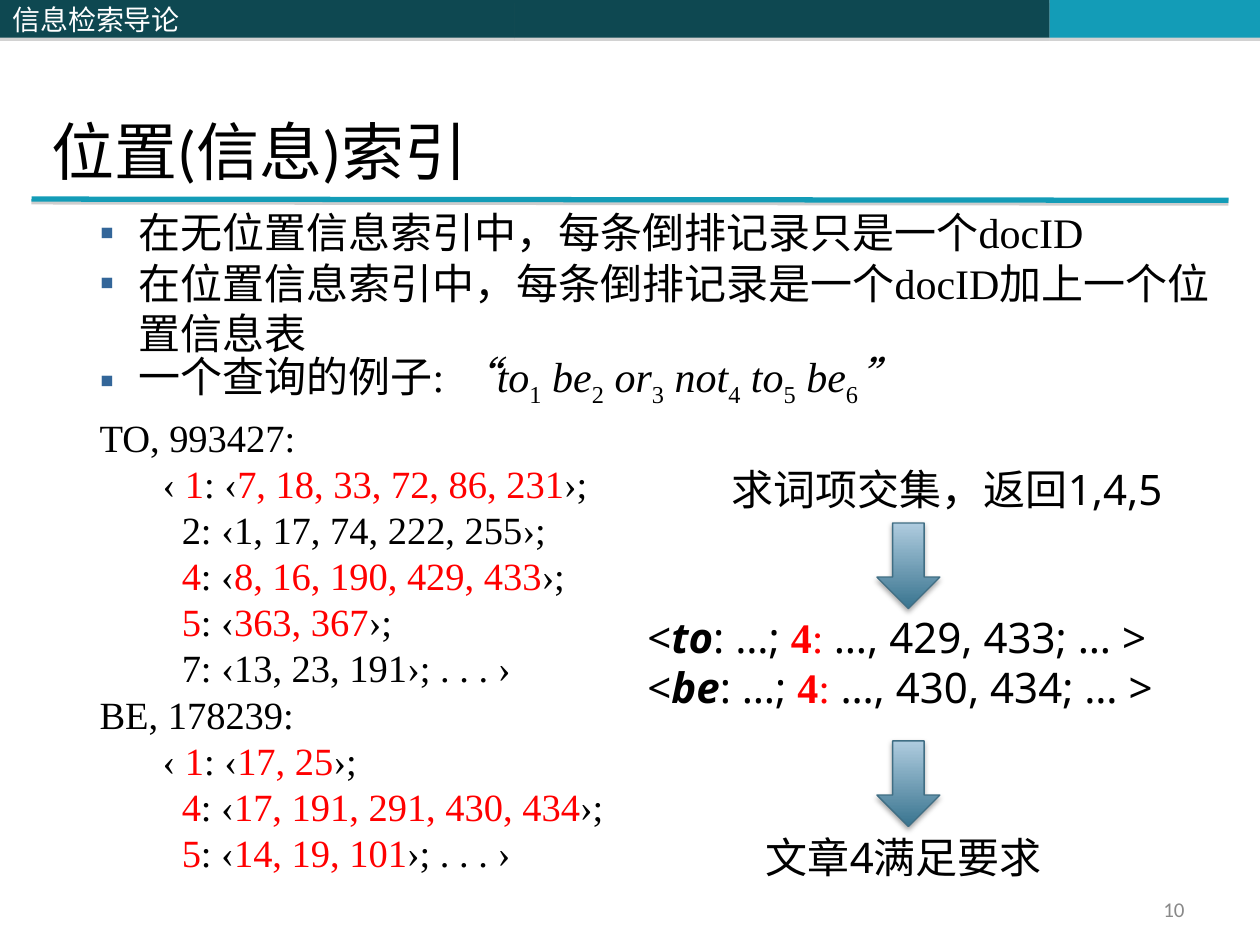
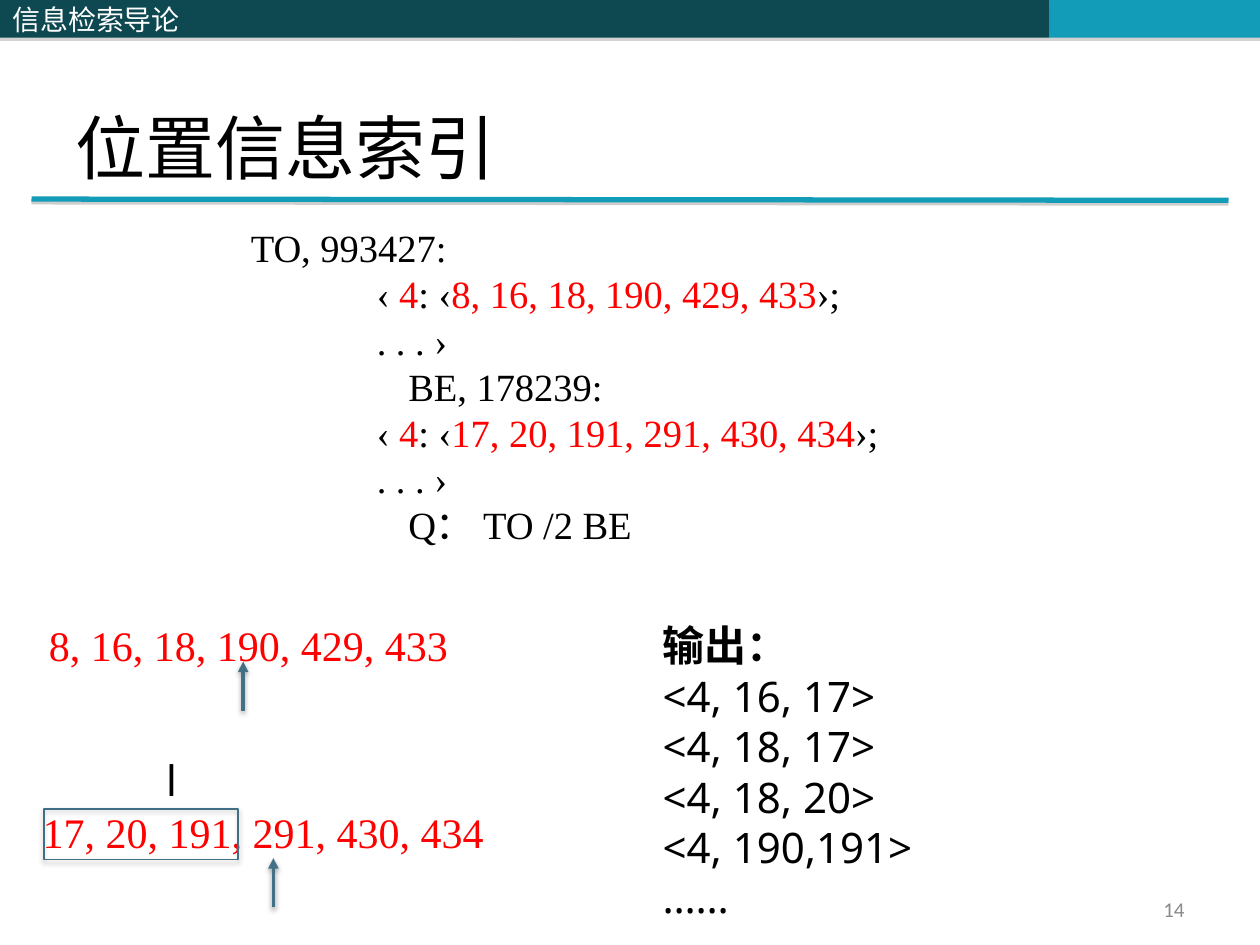
from itertools import chain, cycle
from typing import NamedTuple

from lxml.etree import SubElement
from pptx import Presentation
from pptx.dml.color import RGBColor
from pptx.enum.shapes import MSO_CONNECTOR as CONNECTOR, MSO_SHAPE as SHAPE
from pptx.enum.text import MSO_ANCHOR as ANCHOR, MSO_AUTO_SIZE as AUTO_SIZE, PP_ALIGN as ALIGN
from pptx.oxml.ns import qn
from pptx.util import Inches, Pt

DARK_TEAL = RGBColor(0x0E, 0x48, 0x51)
TEAL = RGBColor(0x13, 0x9C, 0xB7)
STEEL = RGBColor(0x40, 0x6E, 0x84)
STEEL_DARK = RGBColor(0x39, 0x74, 0x8F)
STEEL_LIGHT = RGBColor(0xAF, 0xCC, 0xDF)
POINTER = RGBColor(0x43, 0x70, 0x85)
BULLET_BLUE = RGBColor(0x33, 0x66, 0x99)
GREY = RGBColor(0x89, 0x89, 0x89)
SHADOW_GREY = RGBColor(0x80, 0x80, 0x80)
RED = RGBColor(0xFF, 0, 0)
BLACK = RGBColor(0, 0, 0)
WHITE = RGBColor(0xFF, 0xFF, 0xFF)

SERIF, SANS, CALIBRI, CJK = "Times New Roman", "Noto Sans", "Calibri", "Noto Sans CJK SC"
WIDTH, HEIGHT = Inches(10), Inches(7.5)
COL, ROW = WIDTH // 100, HEIGHT // 75
LINE_HEIGHT = 1.2

PLAIN, HIT = {}, {"color": RED}
HITS = (PLAIN, HIT)
ITALIC, SUB = {"italic": True}, {"base": "-25000"}
PHRASE = (PLAIN, {"bold": True, "italic": True}, PLAIN,
          {"bold": True, "color": RED, "name": SERIF}, {"color": RED, "name": SERIF}, PLAIN)


class Box(NamedTuple):
    """A region of the slide, in grid columns and rows."""
    left: float
    top: float
    width: float
    height: float

    def inner(self, left, top, width, height):
        """Return a box placed relative to this one."""
        return Box(self.left + left, self.top + top, width, height)

    def emu(self):
        """Return the position and size as lengths."""
        return (round(self.left * COL), round(self.top * ROW),
                round(self.width * COL), round(self.height * ROW))


PAGE = Box(0, 0, 100, 75)


def set_shadow(sp, color=BLACK, alpha=35, blur=3.1, dist=1.8):
    """Give a shape or connector a soft shadow below it."""
    effects = SubElement(sp._element.spPr, qn("a:effectLst"))
    shadow = SubElement(effects, qn("a:outerShdw"), blurRad=str(Pt(blur)), dist=str(Pt(dist)),
                        dir="5400000", algn="ctr", rotWithShape="0")
    rgb = SubElement(shadow, qn("a:srgbClr"), val=str(color))
    SubElement(rgb, qn("a:alpha"), val=str(alpha * 1000))


def style_run(r, color=None, base=None, **font):
    """Apply what differs from the paragraph's font to a run."""
    for name, value in font.items():
        setattr(r.font, name, value)
    if color is not None:
        r.font.color.rgb = color
    if base:
        r._r.get_or_add_rPr().set("baseline", base)


def write(p, text, size=24, name=SANS, color=BLACK, styles=(PLAIN,), bold=None):
    """Fill a paragraph, cycling run styles over the pieces between bars."""
    p.font.size, p.font.name, p.font.bold = Pt(size), name, bold
    p.font.color.rgb = color
    SubElement(p._p.pPr.find(qn("a:defRPr")), qn("a:ea"), typeface=CJK)
    p.line_spacing = Pt(size * LINE_HEIGHT)
    p.space_before = p.space_after = Pt(0)
    for piece, style in zip(text.split("|"), cycle(styles)):
        if piece:
            r = p.add_run()
            r.text = piece
            style_run(r, **style)


def set_indent(p, margin, indent, bullet=None):
    """Set the hanging indent in columns, and the bullet if there is one."""
    pPr = p._p.get_or_add_pPr()
    pPr.set("marL", str(round(margin * COL)))
    pPr.set("indent", str(round(indent * COL)))
    if bullet:
        color = pPr.makeelement(qn("a:buClr"))
        SubElement(color, qn("a:srgbClr"), val=str(BULLET_BLUE))
        marks = [color, pPr.makeelement(qn("a:buFont"), typeface="Arial"),
                 pPr.makeelement(qn("a:buChar"), char=bullet)]
    else:
        marks = [pPr.makeelement(qn("a:buNone"))]
    for mark in marks:
        pPr.find(qn("a:defRPr")).addprevious(mark)


def paragraphs(tf):
    """Yield the first paragraph of a frame, then new ones."""
    yield tf.paragraphs[0]
    while True:
        yield tf.add_paragraph()


def add_text(s, box, lines, wrap=True, **font):
    """Add a text box with one paragraph per line."""
    tf = s.shapes.add_textbox(*box.emu()).text_frame
    tf.word_wrap = wrap
    for line, p in zip(lines, paragraphs(tf)):
        write(p, line, **font)
    return tf


def move(placeholder, box):
    """Place a placeholder in a box and return its text frame."""
    placeholder.left, placeholder.top, placeholder.width, placeholder.height = box.emu()
    tf = placeholder.text_frame
    tf.auto_size = AUTO_SIZE.NONE
    return tf


def add_band(s, box, color):
    """Add one filled piece of the header band."""
    sp = s.shapes.add_shape(SHAPE.RECTANGLE, *box.emu())
    sp.fill.solid()
    sp.fill.fore_color.rgb = color
    sp.line.fill.background()
    set_shadow(sp, SHADOW_GREY, blur=0)
    return sp


def add_line(s, start, end, color, width):
    """Add a straight connector between two grid points."""
    ends = Box(*start, *end).emu()
    line = s.shapes.add_connector(CONNECTOR.STRAIGHT, *ends)
    line.line.color.rgb, line.line.width = color, Pt(width)
    return line


def add_header(s, box):
    """Draw the course band and the rule under the title."""
    add_band(s, box.inner(40.8, 0, 42.5, 3), DARK_TEAL)
    add_band(s, box.inner(83.3, 0, 16.7, 3), TEAL)
    course = add_band(s, box.inner(0, 0, 40.8, 3), DARK_TEAL)
    tf = course.text_frame
    tf.vertical_anchor = ANCHOR.MIDDLE
    write(tf.paragraphs[0], "信息检索导论", 16, CJK, WHITE)
    tf.paragraphs[0].alignment = ALIGN.LEFT
    rule = add_line(s, (box.left + 2.5, box.top + 15.8), (box.left + 97.5, box.top + 15.9), TEAL, 3)
    set_shadow(rule, SHADOW_GREY, 38, 0, 1.6)


def add_number(s, box, number):
    """Write the slide number at the right of its box."""
    tf = add_text(s, box, [str(number)], size=12, name=CALIBRI, color=GREY)
    tf.vertical_anchor = ANCHOR.MIDDLE
    tf.paragraphs[0].alignment = ALIGN.RIGHT


def add_page(prs, title, title_box, number, **font):
    """Add a slide with header, title and number."""
    s = prs.slides.add_slide(prs.slide_layouts[1])
    add_header(s, PAGE)
    tf = move(s.shapes.title, title_box)
    tf.vertical_anchor = ANCHOR.BOTTOM
    write(tf.paragraphs[0], title, **font)
    tf.paragraphs[0].alignment = ALIGN.LEFT
    add_number(s, PAGE.inner(71.7, 70.8, 23.3, 2.7), number)
    return s


def add_index_notes(s, box):
    """List what a positional index stores, with two postings."""
    points = ("在无位置信息索引中，每条倒排记录只是一个docID",
              "在位置信息索引中，每条倒排记录是一个docID加上一个位置信息表",
              "一个查询的例子: |“to|1| be|2| or|3| not|4| to|5| be|6|”")
    postings = {
        "TO, 993427:": ("‹ |1|: ‹|7, 18, 33, 72, 86, 231|›;", "  2: ‹1, 17, 74, 222, 255›;",
                        "  |4|: ‹|8, 16, 190, 429, 433|›;", "  |5|: ‹|363, 367|›;",
                        "  7: ‹13, 23, 191›; . . . ›"),
        "BE, 178239:": ("‹ |1|: ‹|17, 25|›;", "  |4|: ‹|17, 191, 291, 430, 434|›;",
                        "  |5|: ‹|14, 19, 101|›; . . . ›"),
    }
    new = paragraphs(move(s.placeholders[1], box))
    query = list(chain([PLAIN], [ITALIC, SUB] * 7))
    for point in points:
        p = next(new)
        write(p, point, 24, SERIF, styles=query)
        set_indent(p, 8.1, -3.1, "▪")
    for i, (term, docs) in enumerate(postings.items()):
        p = next(new)
        write(p, term, 22, SERIF)
        set_indent(p, 8.1, -3.1)
        p.space_before = Pt(0 if i else 3)
        for doc in docs:
            p = next(new)
            write(p, doc, 22, SERIF, styles=HITS)
            set_indent(p, 12.5, -2.5)


def add_down_arrow(s, box):
    """Add a shaded block arrow that points down."""
    sp = s.shapes.add_shape(SHAPE.DOWN_ARROW, *box.emu())
    sp.fill.gradient()
    sp.fill.gradient_angle = 90
    for stop, color in zip(sp.fill.gradient_stops, (STEEL_DARK, STEEL_LIGHT)):
        stop.color.rgb = color
    sp.line.color.rgb, sp.line.width = STEEL, Pt(0.75)
    set_shadow(sp)


def add_merge_steps(s, box):
    """Show the steps from common documents to the matching one."""
    add_text(s, box.inner(6.7, 0, 37.4, 5.1), ["求词项交集，返回1,4,5"], wrap=False)
    add_text(s, box.inner(0, 11.7, 50, 9.1),
             ["<|to|: …; |4|: |…, 429, 433; … >", "<|be|: …; |4|: |…, 430, 434; … >"],
             styles=PHRASE)
    add_text(s, box.inner(9.4, 29.2, 24.3, 5.1), ["文章4满足要求"])
    for top in (5.2, 22.5):
        add_down_arrow(s, box.inner(19.2, top, 5, 6.8))


def add_postings(s, box):
    """List the postings of both terms and the proximity query."""
    lines = ("TO, 993427:", "‹ |4|: ‹|8, 16, 18, 190, 429, 433|›;", ". . . ›",
             "BE, 178239:", "‹ |4|: ‹|17, 20, 191, 291, 430, 434|›;", ". . . ›", "Q： TO /2 BE")
    tf = move(s.placeholders[1], box)
    for i, (line, p) in enumerate(zip(lines, paragraphs(tf))):
        write(p, line, 22, SERIF, styles=HITS)
        set_indent(p, 12.5 if i else 0, -2.5 if i % 3 else 0)


def add_pointer(s, x, y):
    """Add an upward pointer whose foot is at the given point."""
    line = add_line(s, (x, y), (x, y - 3.9), POINTER, 2)
    SubElement(line.line._get_or_add_ln(), qn("a:tailEnd"), type="triangle")
    set_shadow(line, BLACK, 38, 3.1, 1.6)


def add_position_scan(s, box):
    """Show both position lists with their pointers and window."""
    red = {"name": SERIF, "color": RED, "wrap": False}
    add_text(s, box.inner(0.5, 0, 34, 5), ["8, 16, 18, 190, 429, 433"], **red)
    add_text(s, box.inner(0, 14.8, 37.4, 5), ["17, 20, 191, 291, 430, 434"], **red)
    add_text(s, box.inner(9.8, 10.7, 6.7, 5), ["l"])
    add_pointer(s, box.left + 16.9, box.top + 7.7)
    add_pointer(s, box.left + 19.3, box.top + 23.3)
    window = s.shapes.add_shape(SHAPE.RECTANGLE, *box.inner(1.1, 15.5, 15.4, 4).emu())
    window.fill.background()
    window.line.color.rgb, window.line.width = STEEL, Pt(0.75)
    set_shadow(window)


def add_output(s, box):
    """List the matches that the scan returns."""
    tf = add_text(s, box, ["输出："], name="Arial", bold=True)
    for match in ("<4, 16, 17>", "<4, 18, 17>", "<4, 18, 20>", "<4, 190,191>", "……"):
        write(tf.add_paragraph(), match)


def main():
    """Build both slides and save them."""
    prs = Presentation()
    prs.slide_width, prs.slide_height = WIDTH, HEIGHT
    s = add_page(prs, "位置(信息)索引", Box(3.1, 0.1, 94.5, 15.3), 10, size=36, name=CALIBRI)
    add_index_notes(s, Box(1.9, 15.9, 95.3, 59.1))
    add_merge_steps(s, Box(50.4, 36.3, 49.6, 34.3))
    s = add_page(prs, "位置信息索引", Box(5, 3, 90, 12.5), 14, size=40, name=SERIF)
    add_postings(s, Box(18.9, 17.3, 62.6, 26.9))
    add_position_scan(s, Box(2.4, 48.7, 37.4, 23.3))
    add_output(s, Box(51.6, 48.7, 40.2, 25.2))
    prs.save("out.pptx")


if __name__ == "__main__":
    main()
